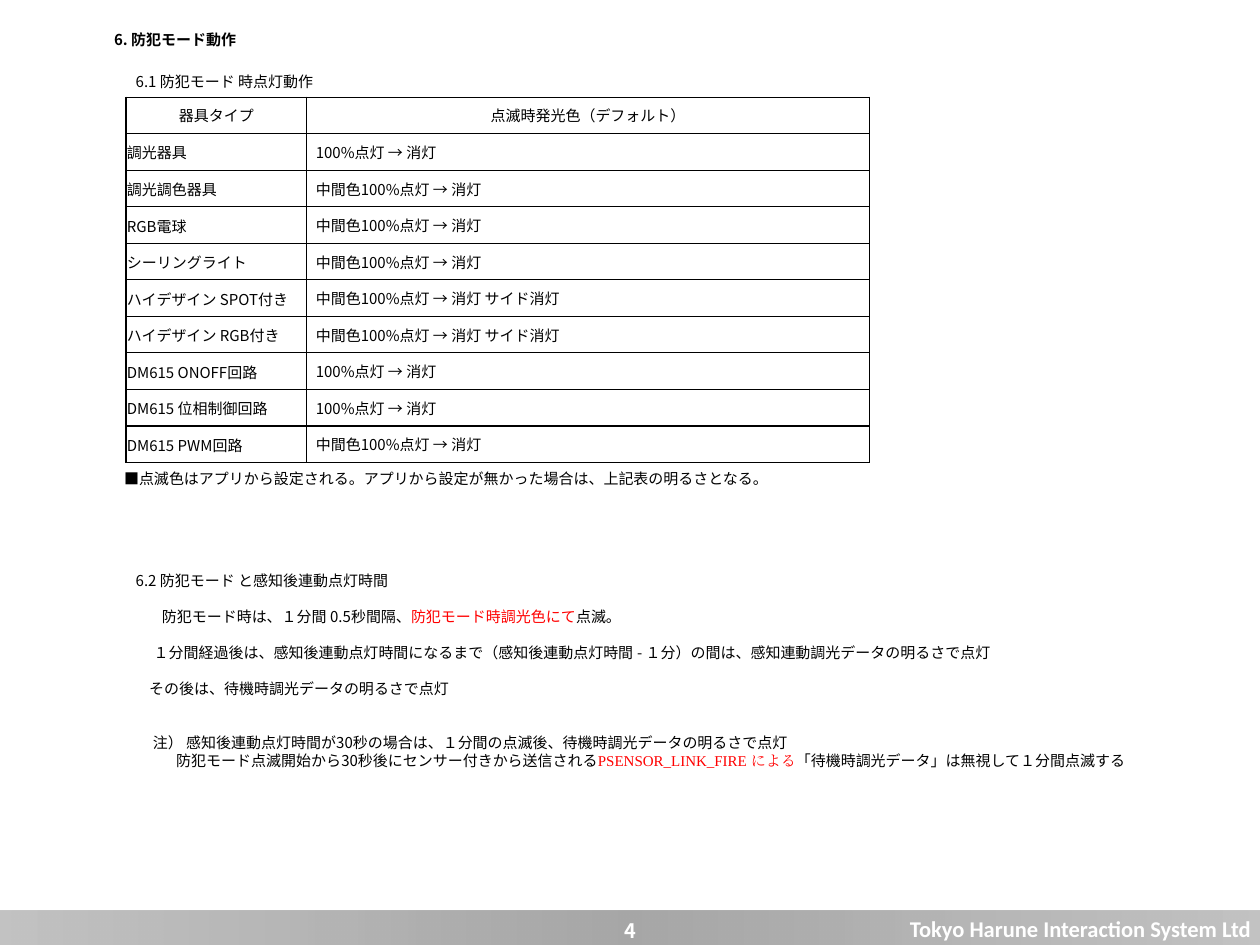
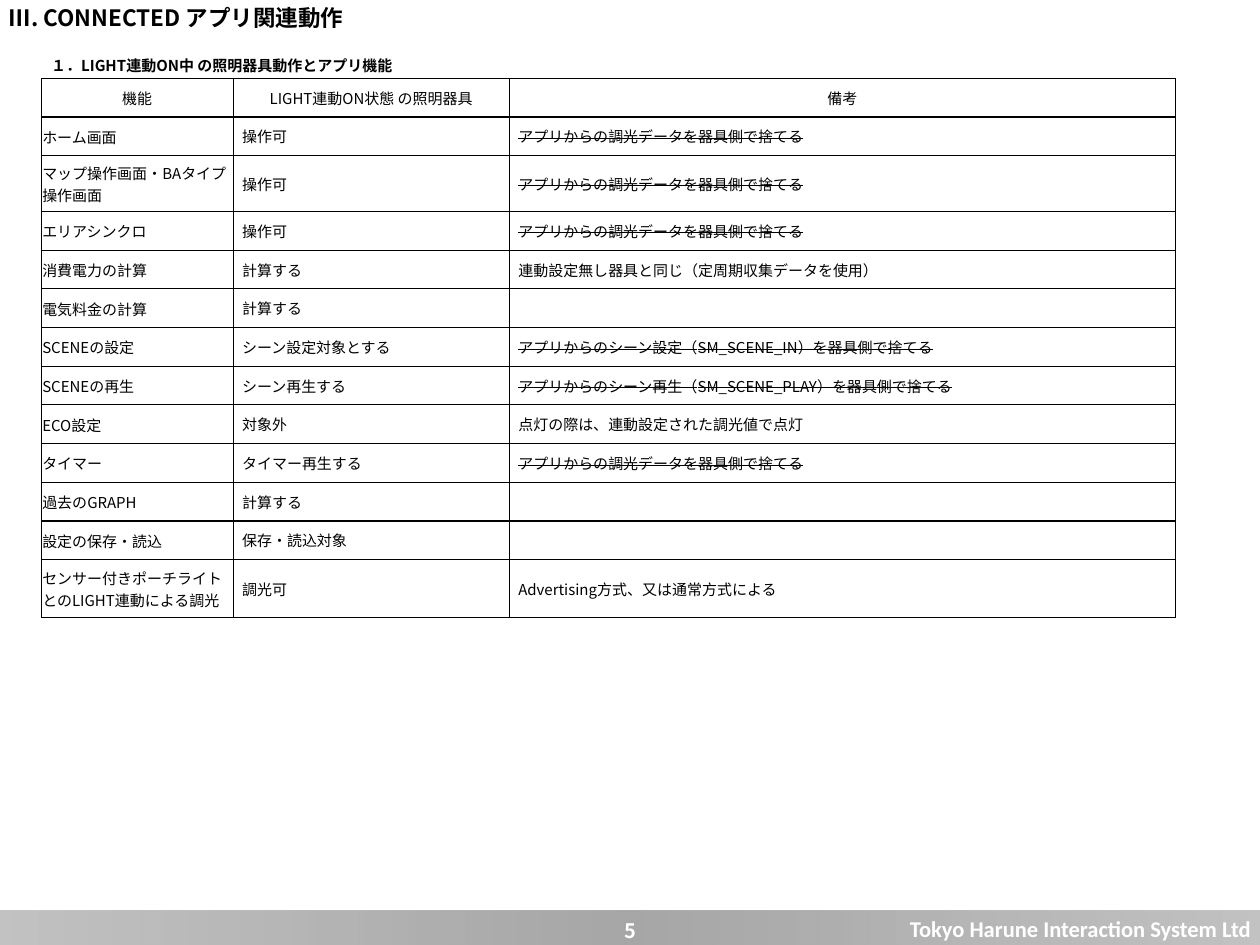
from dataclasses import dataclass

from lxml.etree import SubElement
from pptx import Presentation
from pptx.dml.color import RGBColor
from pptx.enum.shapes import MSO_SHAPE as Preset
from pptx.enum.text import MSO_ANCHOR as Anchor, PP_ALIGN as Align
from pptx.oxml import parse_xml
from pptx.oxml.ns import nsdecls, qn
from pptx.util import Inches, Pt

COLORS = {
    "text": "000000",
    "alert": "FF0000",
    "band_edge": "C0C0C0",
    "band_middle": "A7A7A7",
    "band_text": "FFFFFF",
    "border": "000000",
}
MAIN_FONT = "Noto Sans CJK JP"
BAND_FONT = "Calibri"
CODE_FONT = "Times New Roman"
COMPANY = "Tokyo Harune Interaction System Ltd"
PAGE_WIDTH, PAGE_HEIGHT = 14, 10.5
LINE_FACTOR = 1.2


@dataclass(frozen=True)
class Span:
    text: str
    color: str = "text"
    font: str = MAIN_FONT
    size: float = 12
    bold: bool = False
    strike: bool = False


@dataclass(frozen=True)
class Line:
    spans: tuple[Span, ...]
    indent: float = 0
    gap_lines: int = 0
    align: Align = Align.LEFT


@dataclass(frozen=True)
class TextBox:
    left: float
    top: float
    width: float
    height: float
    lines: tuple[Line, ...]


@dataclass(frozen=True)
class Grid:
    left: float
    top: float
    columns: tuple[float, ...]
    heights: tuple[float, ...]
    rows: tuple[tuple[Span, ...], ...]


def add_span(para, span: Span) -> None:
    run = para.add_run()
    run.text = span.text
    font = run.font
    font.name = span.font
    font.size = Pt(span.size)
    font.bold = span.bold
    font.color.rgb = RGBColor.from_string(COLORS[span.color])
    props = run._r.get_or_add_rPr()
    SubElement(props, qn("a:ea"), typeface=span.font)
    if span.strike:
        props.set("strike", "sngStrike")


def add_text(page, item: TextBox) -> None:
    box = page.shapes.add_textbox(
        Inches(item.left), Inches(item.top), Inches(item.width), Inches(item.height)
    )
    frame = box.text_frame
    frame.word_wrap = True
    for index, line in enumerate(item.lines):
        para = frame.add_paragraph() if index else frame.paragraphs[0]
        para.alignment = line.align
        pitch = line.spans[0].size * LINE_FACTOR
        para.line_spacing = Pt(pitch)
        para.space_before = Pt(pitch * line.gap_lines)
        para._p.get_or_add_pPr().set("marL", str(Inches(line.indent)))
        for span in line.spans:
            add_span(para, span)


def set_borders(cell) -> None:
    props = cell._tc.get_or_add_tcPr()
    for index, side in enumerate(("lnL", "lnR", "lnT", "lnB")):
        border = parse_xml(
            f'<a:{side} {nsdecls("a")} w="{Pt(1)}"><a:solidFill>'
            f'<a:srgbClr val="{COLORS["border"]}"/></a:solidFill></a:{side}>'
        )
        props.insert(index, border)


def add_grid(page, grid: Grid) -> None:
    table = page.shapes.add_table(
        len(grid.rows), len(grid.columns), Inches(grid.left), Inches(grid.top),
        Inches(sum(grid.columns)), Inches(sum(grid.heights)),
    ).table
    table.first_row = False
    table.horz_banding = False
    for column, width in zip(table.columns, grid.columns):
        column.width = Inches(width)
    for row, height in zip(table.rows, grid.heights):
        row.height = Inches(height)
    for row_index, spans in enumerate(grid.rows):
        for column_index, span in enumerate(spans):
            cell = table.cell(row_index, column_index)
            cell.fill.background()
            set_borders(cell)
            cell.vertical_anchor = Anchor.MIDDLE
            if row_index and not column_index:
                cell.margin_left = cell.margin_right = cell.margin_top = Inches(0.01)
                cell.margin_bottom = Inches(0)
            para = cell.text_frame.paragraphs[0]
            para.alignment = Align.LEFT if row_index else Align.CENTER
            if span.text:
                add_span(para, span)
            else:
                SubElement(para._p, qn("a:endParaRPr"), sz=str(int(span.size * 100)))


def add_footer(page, number: int) -> None:
    band = page.shapes.add_shape(
        Preset.RECTANGLE, Inches(0), Inches(10.12), Inches(PAGE_WIDTH), Inches(0.4)
    )
    band.shadow.inherit = False
    band.line.fill.background()
    band.fill.gradient()
    band.fill.gradient_angle = 0
    edge = f'<a:srgbClr val="{COLORS["band_edge"]}"><a:alpha val="95000"/></a:srgbClr>'
    middle = f'<a:srgbClr val="{COLORS["band_middle"]}"/>'
    stops = "".join(
        f'<a:gs pos="{position}">{color}</a:gs>'
        for position, color in ((0, edge), (50000, middle), (100000, edge))
    )
    old_stops = band._element.spPr.find(qn("a:gradFill")).find(qn("a:gsLst"))
    old_stops.getparent().replace(
        old_stops, parse_xml(f'<a:gsLst {nsdecls("a")}>{stops}</a:gsLst>')
    )
    para = band.text_frame.paragraphs[0]
    para.alignment = Align.RIGHT
    add_span(para, Span(COMPANY, "band_text", BAND_FONT, 18, True))
    label = Span(str(number), "band_text", size=16, bold=True)
    add_text(page, TextBox(0, 10.16, PAGE_WIDTH, 0.37, (Line((label,), align=Align.CENTER),)))


def heading(left: float, top: float, width: float, text: str,
            size: float = 12, bold: bool = False) -> TextBox:
    height = 0.1 + size * LINE_FACTOR / 72
    return TextBox(left, top, width, height, (Line((Span(text, size=size, bold=bold),)),))


def plain_rows(*rows: tuple[str | Span, ...]) -> tuple[tuple[Span, ...], ...]:
    return tuple(
        tuple(Span(item) if isinstance(item, str) else item for item in row) for row in rows
    )


def struck(text: str) -> Span:
    return Span(text, strike=True)


FLASH = "100%点灯 → 消灯"
MID_FLASH = "中間色" + FLASH
SIDE_FLASH = MID_FLASH + " サイド消灯"
FLASH_GRID = Grid(
    1.4, 1.08, (2.01, 6.25), (0.406,) * 10,
    plain_rows(
        ("器具タイプ", "点滅時発光色（デフォルト）"),
        ("調光器具", FLASH),
        ("調光調色器具", MID_FLASH),
        ("RGB電球", MID_FLASH),
        ("シーリングライト", MID_FLASH),
        ("ハイデザイン SPOT付き", SIDE_FLASH),
        ("ハイデザイン RGB付き", SIDE_FLASH),
        ("DM615 ONOFF回路", FLASH),
        ("DM615 位相制御回路", FLASH),
        ("DM615 PWM回路", MID_FLASH),
    ),
)

TIMING = TextBox(1.41, 6.3, 11.81, 2.73, (
    Line((Span("6.2 防犯モード と感知後連動点灯時間"),)),
    Line((
        Span("防犯モード時は、１分間 0.5秒間隔、"),
        Span("防犯モード時調光色にて", "alert"),
        Span("点滅。"),
    ), 0.29, 1),
    Line((Span("１分間経過後は、感知後連動点灯時間になるまで（感知後連動点灯時間 - １分）"
               "の間は、感知連動調光データの明るさで点灯"),), 0.2, 1),
    Line((Span("その後は、待機時調光データの明るさで点灯"),), 0.15, 1),
    Line((Span("注） 感知後連動点灯時間が30秒の場合は、１分間の点滅後、"
               "待機時調光データの明るさで点灯"),), 0.19, 2),
    Line((
        Span("防犯モード点滅開始から30秒後にセンサー付きから送信される"),
        Span("PSENSOR_LINK_FIRE による", "alert", CODE_FONT),
        Span("「待機時調光データ」は無視して１分間点滅する"),
    ), 0.45),
))

DISCARD = struck("アプリからの調光データを器具側で捨てる")
APP_GRID = Grid(
    0.46, 0.87, (2.13, 3.07, 7.4), (0.43, 0.43, 0.62) + (0.43,) * 9 + (0.64,),
    plain_rows(
        ("機能", "LIGHT連動ON状態 の照明器具", "備考"),
        ("ホーム画面", "操作可", DISCARD),
        ("マップ操作画面・BAタイプ操作画面", "操作可", DISCARD),
        ("エリアシンクロ", "操作可", DISCARD),
        ("消費電力の計算", "計算する", "連動設定無し器具と同じ（定周期収集データを使用）"),
        ("電気料金の計算", "計算する", ""),
        ("SCENEの設定", "シーン設定対象とする",
         struck("アプリからのシーン設定（SM_SCENE_IN）を器具側で捨てる")),
        ("SCENEの再生", "シーン再生する",
         struck("アプリからのシーン再生（SM_SCENE_PLAY）を器具側で捨てる")),
        ("ECO設定", "対象外", "点灯の際は、連動設定された調光値で点灯"),
        ("タイマー", "タイマー再生する", DISCARD),
        ("過去のGRAPH", "計算する", ""),
        ("設定の保存・読込", "保存・読込対象", ""),
        ("センサー付きポーチライトとのLIGHT連動による調光", "調光可",
         "Advertising方式、又は通常方式による"),
    ),
)

SECURITY_TEXTS = (
    heading(1.17, 0.29, 5.43, "6. 防犯モード動作", bold=True),
    heading(1.41, 0.76, 11.81, "6.1 防犯モード 時点灯動作"),
    heading(1.28, 5.17, 11.81,
            "■点滅色はアプリから設定される。アプリから設定が無かった場合は、上記表の明るさとなる。"),
    TIMING,
)
APP_TEXTS = (
    heading(0, 0, 9.05, "Ⅲ. CONNECTED アプリ関連動作", 18, True),
    heading(0.47, 0.58, 9.05, "１．LIGHT連動ON中 の照明器具動作とアプリ機能", bold=True),
)


def main() -> None:
    deck = Presentation()
    deck.slide_width = Inches(PAGE_WIDTH)
    deck.slide_height = Inches(PAGE_HEIGHT)
    contents = ((FLASH_GRID, SECURITY_TEXTS), (APP_GRID, APP_TEXTS))
    for number, (grid, texts) in enumerate(contents, start=4):
        page = deck.slides.add_slide(deck.slide_layouts[6])
        add_footer(page, number)
        add_grid(page, grid)
        for item in texts:
            add_text(page, item)
    deck.save("out.pptx")


if __name__ == "__main__":
    main()
